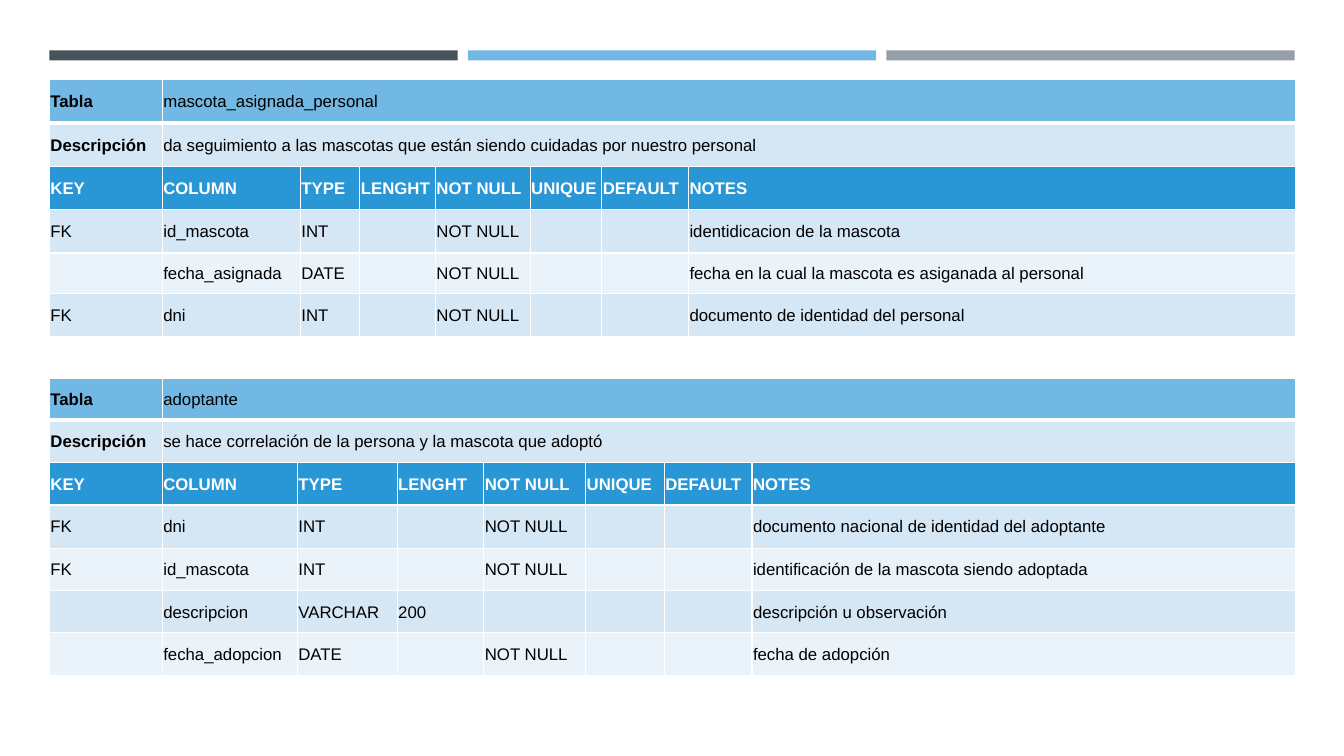
from lxml import etree
from pptx import Presentation
from pptx import util as u
from pptx.dml.color import RGBColor
from pptx.enum import shapes, text
from pptx.oxml import ns

PX = 9144  # EMU per px, 100 px to the inch
FONT = "Arial"
BLACK = RGBColor(0x00, 0x00, 0x00)
WHITE = RGBColor(0xFF, 0xFF, 0xFF)
SLATE = RGBColor(0x46, 0x53, 0x59)
SKY = RGBColor(0x71, 0xB9, 0xE4)
GREY = RGBColor(0x96, 0x9F, 0xA7)
BLUE = RGBColor(0x29, 0x96, 0xD6)
BAND_DARK = RGBColor(0xD5, 0xE6, 0xF5)
BAND_LIGHT = RGBColor(0xEB, 0xF3, 0xFA)

HEADINGS = ["KEY", "COLUMN", "TYPE", "LENGHT", "NOT NULL", "UNIQUE", "DEFAULT", "NOTES"]

ASSIGNED_FIELDS = [
    ["FK", "id_mascota", "INT", "", "NOT NULL", "", "", "identidicacion de la mascota"],
    ["", "fecha_asignada", "DATE", "", "NOT NULL", "", "",
     "fecha en la cual la mascota es asiganada al personal"],
    ["FK", "dni", "INT", "", "NOT NULL", "", "", "documento de identidad del personal"],
]
ADOPTER_FIELDS = [
    ["FK", "dni", "INT", "", "NOT NULL", "", "",
     "documento nacional de identidad del adoptante"],
    ["FK", "id_mascota", "INT", "", "NOT NULL", "", "",
     "identificación de la mascota siendo adoptada"],
    ["", "descripcion", "VARCHAR", "200", "", "", "", "descripción u observación"],
    ["", "fecha_adopcion", "DATE", "", "NOT NULL", "", "", "fecha de adopción"],
]


def add_bars(page, box):
    """Three equal bars across the top of the box."""
    left, top, width, height = box
    gap = 10
    bar_width = (width - 2 * gap) // 3
    for index, color in enumerate([SLATE, SKY, GREY]):
        bar = page.shapes.add_shape(
            shapes.MSO_SHAPE.RECTANGLE, (left + index * (bar_width + gap)) * PX,
            top * PX, bar_width * PX, height * PX)
        bar.shadow.inherit = False
        bar.fill.solid()
        bar.fill.fore_color.rgb = color
        bar.line.fill.background()


def set_borders(cell, top=1, bottom=1):
    """White cell borders, widths in points."""
    properties = cell._tc.get_or_add_tcPr()
    widths = {"a:lnL": 1, "a:lnR": 1, "a:lnT": top, "a:lnB": bottom}
    for index, (tag, width) in enumerate(widths.items()):
        line = etree.Element(ns.qn(tag), w=str(u.Pt(width)))
        fill = etree.SubElement(line, ns.qn("a:solidFill"))
        etree.SubElement(fill, ns.qn("a:srgbClr"), val=str(WHITE))
        properties.insert(index, line)


def fill_cell(cell, words, fill, color, bold):
    cell.fill.solid()
    cell.fill.fore_color.rgb = fill
    cell.vertical_anchor = text.MSO_ANCHOR.MIDDLE
    cell.margin_left = cell.margin_right = cell.margin_top = PX
    cell.margin_bottom = 0
    para = cell.text_frame.paragraphs[0]
    para.text = words
    para.font.size = u.Pt(12)
    for span in para.runs:
        span.font.name = FONT
        span.font.size = u.Pt(12)
        span.font.bold = bold
        span.font.color.rgb = color


def add_data_table(page, box, name, description, fields, widths, heights):
    """Table description: two title rows, headings, then banded fields."""
    left, top, width, height = box
    rows = [["Tabla", name] + [""] * 6, ["Descripción", description] + [""] * 6,
            HEADINGS] + fields
    table = page.shapes.add_table(
        len(rows), len(HEADINGS), left * PX, top * PX, width * PX, height * PX).table

    # The notes column takes the remaining width
    for column, size in zip(table.columns, widths + [width - sum(widths)]):
        column.width = size * PX
    for row, size in zip(table.rows, heights):
        row.height = size * PX

    fills = [SKY, BAND_DARK, BLUE]
    for r, words in enumerate(rows):
        fill = fills[r] if r < 3 else (BAND_DARK, BAND_LIGHT)[(r - 3) % 2]
        for c, word in enumerate(words):
            cell = table.cell(r, c)
            bold = r == 2 or (r < 2 and c == 0)
            fill_cell(cell, word, fill, WHITE if r == 2 else BLACK, bold)
            set_borders(cell, top=3 if r == 1 else 1, bottom=3 if r == 0 else 1)
        if r < 2:
            table.cell(r, 1).merge(table.cell(r, len(HEADINGS) - 1))


def main():
    deck = Presentation()
    deck.slide_width, deck.slide_height = 1333 * PX, 750 * PX
    page = deck.slides.add_slide(deck.slide_layouts[6])

    add_bars(page, (49, 50, 1235, 10))
    add_data_table(
        page, (49, 79, 1236, 257), "mascota_asignada_personal",
        "da seguimiento a las mascotas que están siendo cuidadas por nuestro personal",
        ASSIGNED_FIELDS, [112, 137, 59, 75, 94, 71, 86], [43, 43, 43, 43, 40, 43])
    add_data_table(
        page, (49, 375, 1236, 295), "adoptante",
        "se hace correlación de la persona y la mascota que adoptó",
        ADOPTER_FIELDS, [112, 134, 99, 86, 101, 78, 87], [42, 42, 42, 43, 42, 42, 42])

    deck.save("out.pptx")


if __name__ == "__main__":
    main()
